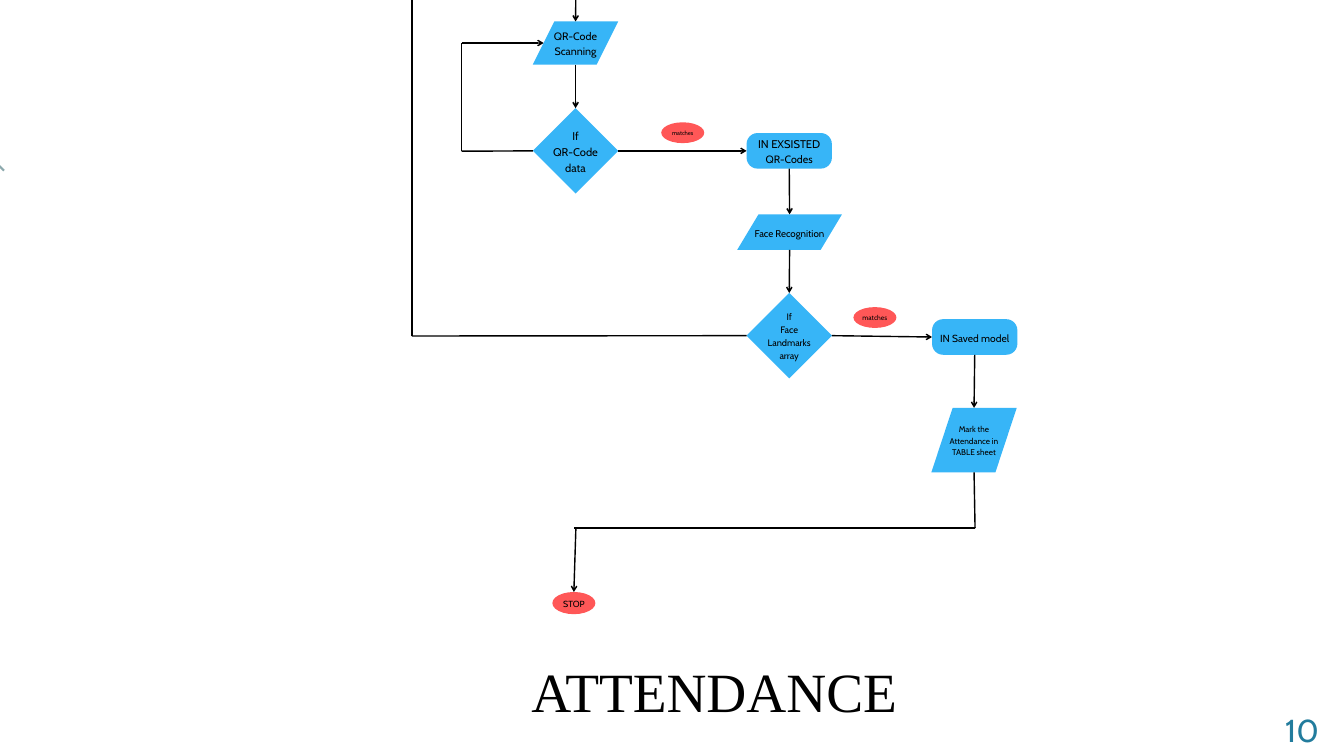
from itertools import cycle

from lxml.etree import SubElement
from pptx import Presentation
from pptx.dml.color import RGBColor
from pptx.enum.shapes import MSO_CONNECTOR, MSO_SHAPE as SHAPE
from pptx.enum.text import MSO_ANCHOR, PP_ALIGN
from pptx.oxml.ns import qn
from pptx.util import Pt

PX = 9144
WIDTH, HEIGHT = 2000, 1125
SLANT, RADIUS = 32, 16.5
TOP, LEFT, BOTTOM, RIGHT = range(4)
COLORS = {
    "step": "37B5F7",
    "label": "FF5757",
    "ink": "000000",
    "number": "227C9D",
    "accent": "8CA9AD",
}
KINDS = {
    "input": (SHAPE.PARALLELOGRAM, "step"),
    "decision": (SHAPE.DIAMOND, "step"),
    "process": (SHAPE.ROUNDED_RECTANGLE, "step"),
    "oval": (SHAPE.OVAL, "label"),
}

NODES = {
    "scan": ("input", (793, 32, 127, 64), "QR-Code\vScanning", (11.5,)),
    "if_code": ("decision", (793, 161, 127, 127), "If\nQR-Code\ndata", (12,)),
    "code_match": ("oval", (984, 182, 64, 31), "matches", (6.4,)),
    "codes": ("process", (1111, 198, 127, 53), "IN EXSISTED\nQR-Codes", (12, 11.4)),
    "face": ("input", (1097, 319, 156, 53), "Face Recognition", (10.5,)),
    "if_face": ("decision", (1111, 436, 127, 127), "If\nFace\vLandmarks\narray", (10,)),
    "face_match": ("oval", (1270, 457, 64, 31), "matches", (7.4,)),
    "model": ("process", (1387, 475, 127, 53), "IN Saved model", (11,)),
    "mark": ("input", (1386, 607, 127, 96), "Mark the\vAttendance in\vTABLE sheet", (8.9,)),
    "stop": ("oval", (822, 881, 64, 33), "STOP", (9.5,)),
}

ARROWS = [
    ((857, -15), ("scan", TOP)),
    (("scan", BOTTOM), ("if_code", TOP)),
    (("if_code", RIGHT), ("codes", LEFT)),
    (("codes", BOTTOM), ("face", TOP)),
    (("face", BOTTOM), ("if_face", TOP)),
    (("if_face", RIGHT), ("model", LEFT)),
    (("model", BOTTOM), ("mark", TOP)),
    ((857, 786), ("stop", TOP)),
    ((687, 64), (809, 64)),
]
LINES = [
    (("if_face", LEFT), (613, 500)),
    ((613, 500), (613, -406)),
    (("mark", BOTTOM), (1451, 786)),
    ((1451, 786), (854, 786)),
    (("if_code", LEFT), (687, 225)),
    ((687, 225), (687, 64)),
]

CAPTIONS = [
    ((706, 962, 714, 124), "ATTENDANCE", (59.3,), "Times New Roman", "ink"),
    ((1892, 1048, 91, 63), "10", (34,), "Cabin", "number"),
]


def emu(values):
    return [round(v * PX) for v in values]


def rgb(name):
    return RGBColor.from_string(COLORS[name])


def write(sp, text, sizes, font="Cabin", color="ink", anchor=MSO_ANCHOR.MIDDLE, wrap=False):
    tf = sp.text_frame
    tf.word_wrap = wrap
    tf.vertical_anchor = anchor
    tf.margin_left = tf.margin_right = tf.margin_top = tf.margin_bottom = 0
    tf.text = text
    for p, size in zip(tf.paragraphs, cycle(sizes)):
        p.alignment = PP_ALIGN.CENTER
        p.line_spacing = Pt(1.4 * size)
        for r in p.runs:
            r.font.size = Pt(size)
            r.font.name = font
            r.font.color.rgb = rgb(color)


def add_node(s, kind, box, text, sizes):
    preset, color = KINDS[kind]
    sp = s.shapes.add_shape(preset, *emu(box))
    sp.shadow.inherit = False
    sp.fill.solid()
    sp.fill.fore_color.rgb = rgb(color)
    sp.line.fill.background()
    if kind == "input":
        sp.adjustments[0] = round(SLANT / min(box[2:]), 2)
    if kind == "process":
        sp.adjustments[0] = round(RADIUS / min(box[2:]), 2)
    write(sp, text, sizes)
    return sp


def locate(end):
    if end[0] not in NODES:
        return end
    name, side = end
    x, y, w, h = NODES[name][1]
    return [(x + w / 2, y), (x, y + h / 2), (x + w / 2, y + h), (x + w, y + h / 2)][side]


def add_line(s, shapes, start, end, color="ink", width=1.5, arrow=False):
    c = s.shapes.add_connector(MSO_CONNECTOR.STRAIGHT, *emu((*locate(start), *locate(end))))
    c.line.color.rgb = rgb(color)
    c.line.width = Pt(width)
    if arrow:
        SubElement(c.line._get_or_add_ln(), qn("a:tailEnd"), type="arrow")
    SubElement(c._element.spPr, qn("a:effectLst"))
    for point, connect in ((start, c.begin_connect), (end, c.end_connect)):
        if point[0] in NODES and NODES[point[0]][0] in ("decision", "process"):
            connect(shapes[point[0]], point[1])


def main():
    prs = Presentation()
    prs.slide_width, prs.slide_height = emu((WIDTH, HEIGHT))
    s = prs.slides.add_slide(prs.slide_layouts[6])
    add_line(s, {}, (-469, -221), (6, 254), color="accent", width=2.25)
    shapes = {name: add_node(s, *node) for name, node in NODES.items()}
    for start, end in ARROWS:
        add_line(s, shapes, start, end, arrow=True)
    for start, end in LINES:
        add_line(s, shapes, start, end)
    for box, text, sizes, font, color in CAPTIONS:
        sp = s.shapes.add_textbox(*emu(box))
        write(sp, text, sizes, font, color, anchor=MSO_ANCHOR.TOP, wrap=True)
    prs.save("out.pptx")


if __name__ == "__main__":
    main()
